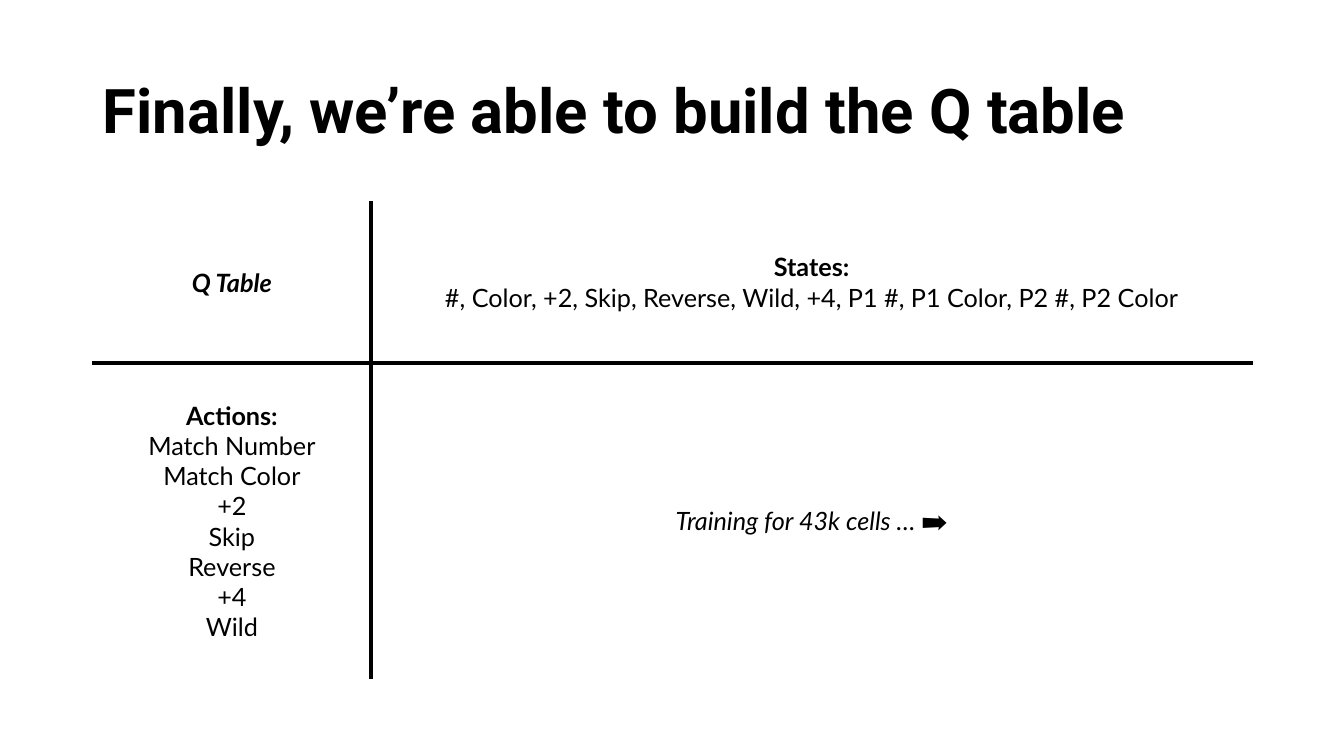
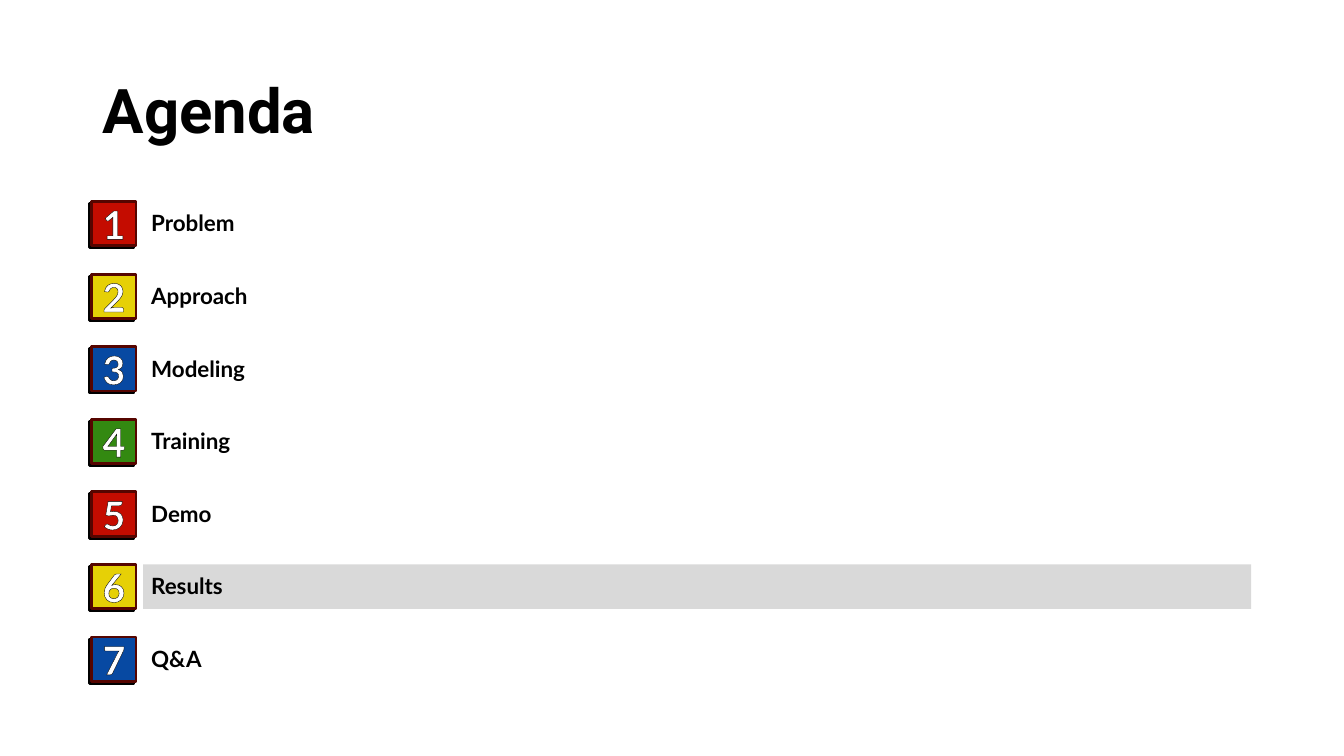
from dataclasses import dataclass

from lxml.etree import SubElement
from pptx import Presentation
from pptx.dml.color import RGBColor
from pptx.enum.shapes import MSO_SHAPE
from pptx.enum.text import MSO_ANCHOR, PP_ALIGN
from pptx.oxml import parse_xml
from pptx.oxml.ns import nsdecls, qn
from pptx.util import Inches, Pt

COLORS = {
    "black": "000000",
    "white": "FFFFFF",
    "highlight": "D9D9D9",
    "tile_line": "560500",
    "red": "C40C00",
    "yellow": "E6D006",
    "blue": "0749A2",
    "green": "338911",
}
TITLE_FONT = "Roboto"
BODY_FONT = "Lato"

LEFT = 0.92
CONTENT_WIDTH = 11.5
CONTENT_TOP = 2

TILE_LEFT = 0.91
TILE_SIZE = 0.44
LABEL_LEFT = 1.42
LABEL_WIDTH = 1.07
HIGHLIGHT_WIDTH = 10.99
AGENDA_PITCH = 0.72
INSET = 0.08


@dataclass
class Span:
    text: str
    bold: bool = False
    italic: bool = False


@dataclass
class AgendaItem:
    label: str
    color: str
    current: bool = False


ACTIONS = ["Match Number", "Match Color", "+2", "Skip", "Reverse", "+4", "Wild"]
STATES = "#, Color, +2, Skip, Reverse, Wild, +4, P1 #, P1 Color, P2 #, P2 Color"

# Each cell is a list of lines, each line a list of spans.
Q_TABLE = [
    [
        [[Span("Q Table", bold=True, italic=True)]],
        [[Span("States:", bold=True)], [Span(STATES)]],
    ],
    [
        [[Span("Actions:", bold=True)], *([Span(action)] for action in ACTIONS)],
        [[Span("Training for 43k cells … ", italic=True), Span("➡️")]],
    ],
]
COLUMN_WIDTHS = [2.76, 8.74]
ROW_HEIGHTS = [1.6, 3.14]

AGENDA = [
    AgendaItem("Problem", "red"),
    AgendaItem("Approach", "yellow"),
    AgendaItem("Modeling", "blue"),
    AgendaItem("Training", "green"),
    AgendaItem("Demo", "red"),
    AgendaItem("Results", "yellow", current=True),
    AgendaItem("Q&A", "blue"),
]


def rgb(name: str) -> RGBColor:
    return RGBColor.from_string(COLORS[name])


def set_font(paragraph, name: str, size: float, color: str = "black", bold=None) -> None:
    font = paragraph.font
    font.name, font.size, font.bold = name, Pt(size), bold
    font.color.rgb = rgb(color)


def line_xml(tag: str, color: str, points: float):
    return parse_xml(
        f'<a:{tag} {nsdecls("a")} w="{Pt(points)}"><a:solidFill>'
        f'<a:srgbClr val="{COLORS[color]}"/></a:solidFill></a:{tag}>'
    )


def add_titled_slide(presentation, title: str):
    slide = presentation.slides.add_slide(presentation.slide_layouts[5])
    shape = slide.shapes.title
    shape.left, shape.top = Inches(LEFT), Inches(0.4)
    shape.width, shape.height = Inches(CONTENT_WIDTH), Inches(1.45)
    frame = shape.text_frame
    frame.text = title
    frame.vertical_anchor = MSO_ANCHOR.MIDDLE
    paragraph = frame.paragraphs[0]
    paragraph.alignment = PP_ALIGN.LEFT
    paragraph.line_spacing = 0.9
    set_font(paragraph, TITLE_FONT, 44, bold=True)
    return slide


def fill_cell(cell, lines: list[list[Span]]) -> None:
    cell.fill.background()
    cell.vertical_anchor = MSO_ANCHOR.MIDDLE
    frame = cell.text_frame
    for index, spans in enumerate(lines):
        paragraph = frame.add_paragraph() if index else frame.paragraphs[0]
        paragraph.alignment = PP_ALIGN.CENTER
        set_font(paragraph, BODY_FONT, 18)
        for span in spans:
            run = paragraph.add_run()
            run.text = span.text
            run.font.bold, run.font.italic = span.bold, span.italic


def add_inner_borders(cell, row: int, column: int) -> None:
    """Rule only the sides that face another cell of the 2 by 2 table."""
    properties = cell._tc.get_or_add_tcPr()
    sides = ["lnL" if column else "lnR", "lnT" if row else "lnB"]
    for position, side in enumerate(sides):
        properties.insert(position, line_xml(side, "black", 3))


def add_q_table(slide) -> None:
    table = slide.shapes.add_table(
        len(ROW_HEIGHTS), len(COLUMN_WIDTHS), Inches(LEFT), Inches(CONTENT_TOP),
        Inches(CONTENT_WIDTH), Inches(sum(ROW_HEIGHTS)),
    ).table
    table.first_row = table.horz_banding = False
    for column, width in zip(table.columns, COLUMN_WIDTHS):
        column.width = Inches(width)
    for row, height in zip(table.rows, ROW_HEIGHTS):
        row.height = Inches(height)
    for row_index, row_cells in enumerate(Q_TABLE):
        for column_index, lines in enumerate(row_cells):
            cell = table.cell(row_index, column_index)
            fill_cell(cell, lines)
            add_inner_borders(cell, row_index, column_index)


def add_rectangle(slide, left: float, top: float, width: float, color: str):
    shape = slide.shapes.add_shape(
        MSO_SHAPE.RECTANGLE, Inches(left), Inches(top), Inches(width), Inches(TILE_SIZE)
    )
    shape.shadow.inherit = False
    shape.fill.solid()
    shape.fill.fore_color.rgb = rgb(color)
    shape.line.fill.background()
    return shape


def set_insets(frame, right: float = INSET) -> None:
    frame.word_wrap = False
    frame.margin_left = frame.margin_top = frame.margin_bottom = Inches(INSET)
    frame.margin_right = Inches(right)


def add_hard_shadow(shape) -> None:
    effects = shape._element.spPr.find(qn("a:effectLst"))
    shadow = SubElement(
        effects, qn("a:outerShdw"), blurRad="0", dist=str(Pt(2)),
        dir=str(135 * 60000), algn="tr", rotWithShape="0",
    )
    SubElement(shadow, qn("a:srgbClr"), val=COLORS["black"])


def add_number_tile(slide, number: int, top: float, color: str) -> None:
    tile = add_rectangle(slide, TILE_LEFT, top, TILE_SIZE, color)
    tile.line.color.rgb = rgb("tile_line")
    tile.line.width = Pt(2)
    add_hard_shadow(tile)
    frame = tile.text_frame
    set_insets(frame)
    frame.vertical_anchor = MSO_ANCHOR.MIDDLE
    frame.text = str(number)
    paragraph = frame.paragraphs[0]
    paragraph.alignment = PP_ALIGN.CENTER
    set_font(paragraph, BODY_FONT, 28, "white", bold=True)
    run_properties = paragraph.runs[0]._r.get_or_add_rPr()
    run_properties.insert(0, line_xml("ln", "black", 1))


def add_label(slide, text: str, top: float) -> None:
    label = slide.shapes.add_textbox(
        Inches(LABEL_LEFT), Inches(top), Inches(LABEL_WIDTH), Inches(TILE_SIZE)
    )
    frame = label.text_frame
    set_insets(frame, right=0)
    frame.text = text
    set_font(frame.paragraphs[0], BODY_FONT, 16, bold=True)


def add_agenda(slide) -> None:
    for index, item in enumerate(AGENDA):
        top = CONTENT_TOP + index * AGENDA_PITCH
        if item.current:
            add_rectangle(slide, LABEL_LEFT, top, HIGHLIGHT_WIDTH, "highlight")
        add_label(slide, item.label, top)
        add_number_tile(slide, index + 1, top, item.color)


def main() -> None:
    presentation = Presentation()
    presentation.slide_width = Inches(13.33)
    presentation.slide_height = Inches(7.5)
    add_q_table(add_titled_slide(presentation, "Finally, we’re able to build the Q table"))
    add_agenda(add_titled_slide(presentation, "Agenda"))
    presentation.save("out.pptx")


if __name__ == "__main__":
    main()
